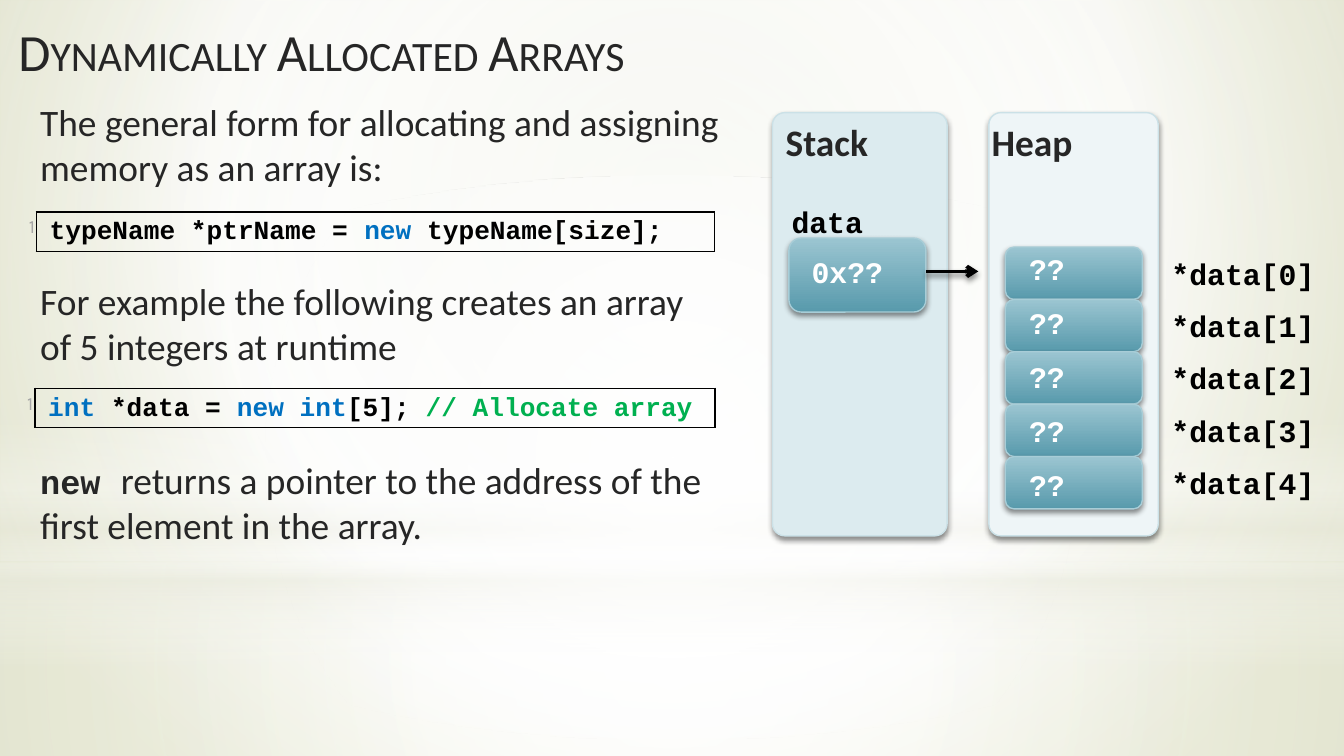
"""Build the slide on dynamically allocated arrays."""
import pptx
import pptx.dml.color
import pptx.enum.shapes
import pptx.enum.text
import pptx.oxml
import pptx.oxml.ns
import pptx.util

Cm, Pt = pptx.util.Cm, pptx.util.Pt
RGB = pptx.dml.color.RGBColor.from_string
SHAPE = pptx.enum.shapes.MSO_SHAPE
qn = pptx.oxml.ns.qn
NS = 'xmlns:a="http://schemas.openxmlformats.org/drawingml/2006/main"'
SANS, MONO = "Calibri", "Courier New"
C = {
    "text": "262626", "black": "000000", "white": "FFFFFF", "number": "A6A6A6",
    "keyword": "0070C0", "comment": "00B050", "cream": "EAEBDE",
    "bg_mid": "E3E5D1", "bg_edge": "CCD09F", "heap": "EEF5F7", "stack": "DCEBEF",
    "panel_line": "CBE1E7", "cell_top": "9BC5D1", "cell_bottom": "589AAC",
    "cell_line": "A8CDD7",
}
SHADOW = (
    f'<a:outerShdw {NS} blurRad="{Pt(3.1)}" dist="{Pt(1.8)}" dir="5400000" rotWithShape="0">'
    f'<a:srgbClr val="{C["black"]}"><a:alpha val="45000"/></a:srgbClr></a:outerShdw>'
)
CENTRE = (50, 50, 50, 50)


def set_gradient(props, stops, focus=None):
    """Swap the empty fill for a circular gradient, or a vertical one without focus."""
    gs = "".join(
        f'<a:gs pos="{pos * 1000}"><a:srgbClr val="{C[name]}">'
        f'<a:alpha val="{alpha * 1000}"/></a:srgbClr></a:gs>'
        for pos, name, alpha in stops
    )
    kind = '<a:lin ang="5400000" scaled="0"/>'
    if focus:
        rect = " ".join(f'{side}="{v * 1000}"' for side, v in zip("ltrb", focus))
        kind = f'<a:path path="circle"><a:fillToRect {rect}/></a:path>'
    xml = f'<a:gradFill {NS} rotWithShape="1"><a:gsLst>{gs}</a:gsLst>{kind}</a:gradFill>'
    props.replace(props.find(qn("a:noFill")), pptx.oxml.parse_xml(xml))


def add_text(left, top, width, height, text, size, font, color, bold):
    """Add a wrapping one-paragraph text box and return its frame."""
    tf = s.shapes.add_textbox(Cm(left), Cm(top), Cm(width), Cm(height)).text_frame
    tf.word_wrap = True
    p = tf.paragraphs[0]
    p.text = text
    p.font.size, p.font.name, p.font.bold = Pt(size), font, bold
    p.font.color.rgb = RGB(C[color])
    return tf


prs = pptx.Presentation()
prs.slide_width, prs.slide_height = Cm(25.4), Cm(14.29)
s = prs.slides.add_slide(prs.slide_layouts[6])

s.background.fill.background()
set_gradient(
    s.background.fill._xPr,
    [(0, "bg_mid", 100), (60, "white", 100), (100, "bg_edge", 100)],
    (20, 10, 20, 60),
)
backdrop = [
    (SHAPE.RECTANGLE, 10.64, 3.65, CENTRE,
     [(0, "white", 91), (37, "white", 76), (100, "cream", 79)]),
    (SHAPE.RECTANGLE, 0, 10.64, CENTRE,
     [(0, "white", 89), (48, "white", 62), (100, "cream", 79)]),
    (SHAPE.RECTANGLE, 7.85, 4.78, None,
     [(0, "white", 0), (29, "white", 30), (45, "cream", 40),
      (55, "white", 26), (65, "cream", 60), (100, "white", 0)]),
    (SHAPE.OVAL, 3.33, 10.64, CENTRE, [(0, "white", 100), (56, "white", 0)]),
]
for kind, top, height, focus, stops in backdrop:
    sp = s.shapes.add_shape(kind, 0, Cm(top), prs.slide_width, Cm(height))
    sp.shadow.inherit = False
    sp.line.fill.background()
    sp.fill.background()
    set_gradient(sp._element.spPr, stops, focus)

tf = add_text(0.1, 0.15, 13.59, 1.6, "Dynamically Allocated Arrays", 28, SANS, "text", False)
tf.vertical_anchor = pptx.enum.text.MSO_ANCHOR.MIDDLE
tf.paragraphs[0].runs[0]._r.get_or_add_rPr().set("cap", "small")

tf = add_text(0.51, 1.75, 13.41, 13.94,
              "The general form for allocating and assigning memory as an array is:",
              20, SANS, "text", False)
for runs in (
    [("For example the following creates an array of 5 integers at runtime", 20, SANS, False)],
    [("new ", 18, MONO, True),
     ("returns a pointer to the address of the first element in the array.", 20, SANS, False)],
):
    p = tf.add_paragraph()
    p.space_before = Pt(48)
    p.font.color.rgb = RGB(C["text"])
    for text, size, font, bold in runs:
        r = p.add_run()
        r.text = text
        r.font.size, r.font.name, r.font.bold = Pt(size), font, bold

listings = [
    (-1.27, 4.01, (1.96, 12.81),
     [("typeName *ptrName = ", "black"), ("new ", "keyword"), ("typeName[size];", "black")]),
    (-0.51, 7.34, (1.17, 12.85),
     [("int ", "keyword"), ("*data = ", "black"), ("new int", "keyword"),
      ("[5]; ", "black"), ("// Allocate array", "comment")]),
]
for left, top, widths, code in listings:
    frame = s.shapes.add_table(1, 2, Cm(left), Cm(top), Cm(sum(widths)), Cm(0.74))
    table = frame.table
    table.first_row = table.horz_banding = False
    table._tbl.tblPr.find(qn("a:tableStyleId")).text = "{2D5ABB26-0587-4C30-8999-92F81FD0307C}"
    columns = [
        ([("1", "number")], 10, "Karla", False, 0.03, "R"),
        (code, 14, MONO, True, 0.25, "LRTB"),
    ]
    for i, (runs, size, font, bold, margin, sides) in enumerate(columns):
        table.columns[i].width = Cm(widths[i])
        cell = table.cell(0, i)
        cell.margin_left = Cm(margin)
        cell.margin_right = cell.margin_top = cell.margin_bottom = Cm(0.03)
        for side in sides:
            cell._tc.get_or_add_tcPr().append(pptx.oxml.parse_xml(
                f'<a:ln{side} {NS} w="{Pt(1)}"><a:solidFill><a:srgbClr val="{C["black"]}"/>'
                f'</a:solidFill></a:ln{side}>'))
        cell.fill.background()
        p = cell.text_frame.paragraphs[0]
        p.line_spacing = 1.15
        p.font.size, p.font.name, p.font.bold = Pt(size), font, bold
        if i == 0:
            p.alignment = pptx.enum.text.PP_ALIGN.RIGHT
        for text, color in runs:
            r = p.add_run()
            r.text = text
            r.font.color.rgb = RGB(C[color])

boxes = [
    (18.69, 2.13, 3.2, 8, "heap"),
    (14.6, 2.13, 3.3, 8, "stack"),
    (14.91, 4.5, 2.59, 1.4, None),
] + [(19, 4.67 + 0.99 * i, 2.59, 0.99, None) for i in range(5)]
for left, top, width, height, panel in boxes:
    sp = s.shapes.add_shape(SHAPE.ROUNDED_RECTANGLE, Cm(left), Cm(top), Cm(width), Cm(height))
    sp.line.width = Pt(0.75)
    sp.line.color.rgb = RGB(C["panel_line" if panel else "cell_line"])
    if panel:
        sp.adjustments[0] = 0.07
        sp.fill.solid()
        sp.fill.fore_color.rgb = RGB(C[panel])
    else:
        sp.fill.background()
        set_gradient(sp._element.spPr, [(0, "cell_top", 100), (100, "cell_bottom", 100)])
    sp.shadow.inherit = False
    sp._element.spPr.find(qn("a:effectLst")).append(pptx.oxml.parse_xml(SHADOW))

arrow = s.shapes.add_connector(
    pptx.enum.shapes.MSO_CONNECTOR.STRAIGHT, Cm(17.5), Cm(5.13), Cm(18.49), Cm(5.13))
arrow.line.width = Pt(2)
arrow.line.color.rgb = RGB(C["black"])
arrow.line._get_or_add_ln().append(pptx.oxml.parse_xml(f'<a:tailEnd {NS} type="arrow"/>'))
arrow._element.spPr.append(pptx.oxml.parse_xml(f"<a:effectLst {NS}>{SHADOW}</a:effectLst>"))

for left, heading in ((14.6, "Stack"), (18.49, "Heap")):
    add_text(left, 2.13, 4.19, 1.12, heading, 20, SANS, "text", True)
add_text(14.71, 3.73, 3.2, 0.94, "data", 16, MONO, "black", True)
add_text(15.09, 4.67, 2.01, 0.94, "0x??", 16, MONO, "white", True)
for i in range(5):
    add_text(19.2, 4.62 + 1.02 * i, 2.01, 0.94, "??", 16, MONO, "white", True)
    add_text(21.89, 4.7 + 0.99 * i, 3.61, 0.94, f"*data[{i}]", 16, MONO, "black", True)

prs.save("out.pptx")
